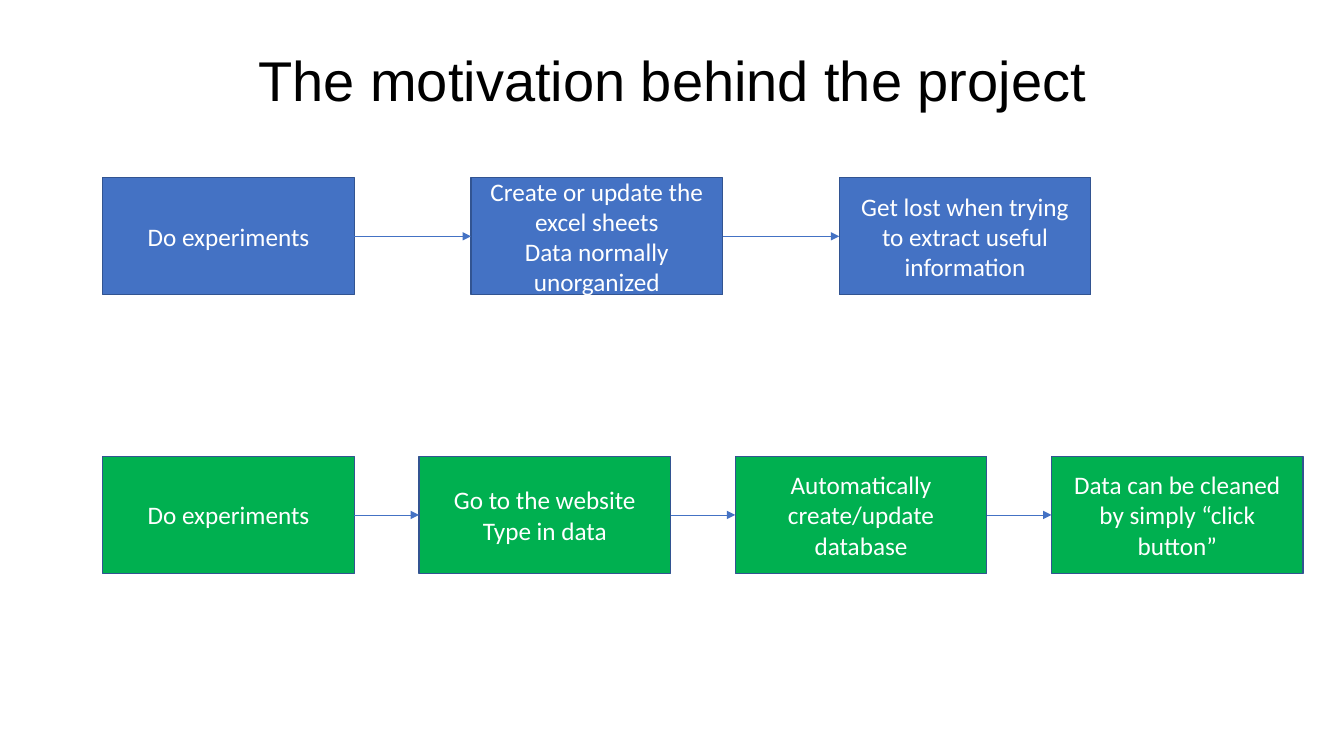
import pptx
import pptx.util
import pptx.dml.color
import pptx.enum.shapes
import pptx.enum.text
import pptx.oxml.ns
from lxml import etree

Cm, Pt = pptx.util.Cm, pptx.util.Pt
RIGHT, LEFT = 3, 1  # connection sites of a rectangle


def tint(code):
    """Turn a hex string into a colour."""
    return pptx.dml.color.RGBColor.from_string(code)


class Board:
    """Holds the style and the current slide."""
    blue, green, edge = "4472C4", "00B050", "325491"
    left, wide, high = 2.59, 6.34, 2.95

    def __init__(self, slide):
        self.shapes = slide.shapes

    def label(self, shape, text, font, size, color, lead=1.0):
        frame = shape.text_frame
        frame.text = text
        frame.word_wrap = True
        frame.vertical_anchor = pptx.enum.text.MSO_ANCHOR.MIDDLE
        for para in frame.paragraphs:
            para.alignment = pptx.enum.text.PP_ALIGN.CENTER
            para.line_spacing = lead
            for run in para.runs:
                run.font.name = font
                run.font.size = Pt(size)
                run.font.color.rgb = tint(color)

    def title(self, text):
        box = self.shapes.add_textbox(Cm(2.33), Cm(0.25), Cm(29.21), Cm(3.68))
        self.label(box, text, "Arial", 40, "000000", 0.9)

    def box(self, x, y, text, fill):
        box = self.shapes.add_shape(
            pptx.enum.shapes.MSO_SHAPE.RECTANGLE,
            Cm(x), Cm(y), Cm(self.wide), Cm(self.high))
        box.shadow.inherit = False
        box.fill.solid()
        box.fill.fore_color.rgb = tint(fill)
        box.line.color.rgb = tint(self.edge)
        box.line.width = Pt(1)
        self.label(box, text, "Calibri", 18, "FFFFFF")
        return box

    def arrow(self, start, end):
        link = self.shapes.add_connector(
            pptx.enum.shapes.MSO_CONNECTOR.STRAIGHT, 0, 0, 0, 0)
        link.begin_connect(start, RIGHT)
        link.end_connect(end, LEFT)
        link.line.color.rgb = tint(self.blue)
        link.line.width = Pt(0.5)
        qn = pptx.oxml.ns.qn
        props = link.element.spPr
        etree.SubElement(props.find(qn("a:ln")), qn("a:tailEnd"), type="triangle")
        etree.SubElement(props, qn("a:effectLst"))

    def flow(self, y, step, fill, texts):
        """Draw a row of boxes joined by arrows."""
        boxes = [self.box(self.left + i * step, y, text, fill)
                 for i, text in enumerate(texts)]
        for start, end in zip(boxes, boxes[1:]):
            self.arrow(start, end)


def main():
    deck = pptx.Presentation()
    deck.slide_width, deck.slide_height = Cm(33.87), Cm(19.05)
    board = Board(deck.slides.add_slide(deck.slide_layouts[6]))
    board.title("The motivation behind the project")
    board.flow(4.48, 9.28, board.blue, [
        "Do experiments",
        "Create or update the excel sheets\nData normally unorganized",
        "Get lost when trying to extract useful information",
    ])
    board.flow(11.5, 7.97, board.green, [
        "Do experiments",
        "Go to the website\nType in data",
        "Automatically create/update database",
        "Data can be cleaned by simply “click button”",
    ])
    deck.save("out.pptx")


if __name__ == "__main__":
    main()
